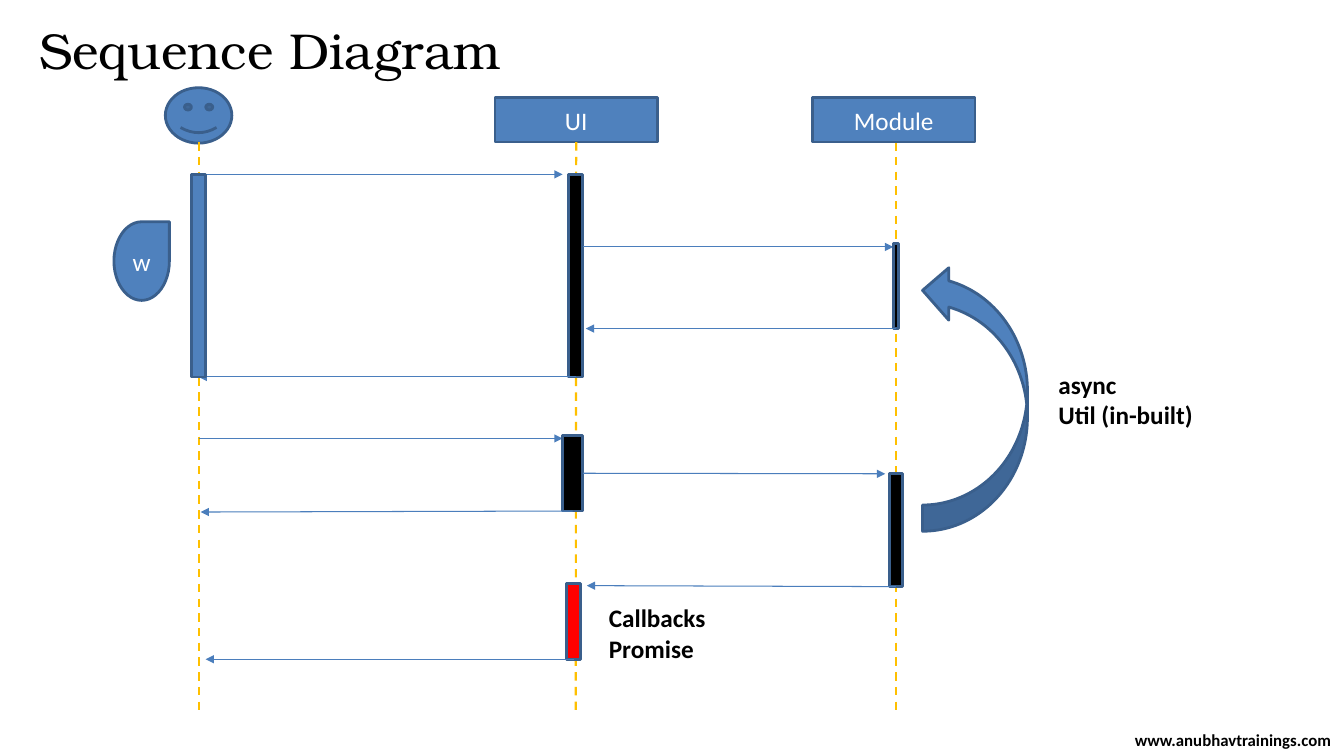
from dataclasses import dataclass

from lxml.etree import SubElement
from pptx import Presentation
from pptx.dml.color import RGBColor
from pptx.enum.dml import MSO_LINE
from pptx.enum.shapes import MSO_CONNECTOR, MSO_SHAPE
from pptx.enum.text import MSO_ANCHOR, MSO_AUTO_SIZE, PP_ALIGN
from pptx.oxml.ns import qn
from pptx.util import Inches, Pt


@dataclass(frozen=True)
class Theme:
    blue: str = "4F81BD"
    edge: str = "3A5F8C"
    arrow: str = "4B7EBC"
    gold: str = "FFC000"
    black: str = "000000"
    white: str = "FFFFFF"
    red: str = "FF0000"
    serif: str = "TeX Gyre Bonum"
    sans: str = "Calibri"
    title: int = 36
    body: int = 18
    small: int = 12


class Diagram:
    def __init__(self, slide, theme):
        self.slide = slide
        self.theme = theme

    def style(self, frame, text, size, color, face=None, bold=False, align=None):
        frame.text = text
        for para in frame.paragraphs:
            para.alignment = align
            for run in para.runs:
                font = run.font
                font.name = face or self.theme.sans
                font.size = Pt(size)
                font.bold = bold
                font.color.rgb = RGBColor.from_string(color)

    def shape(self, kind, x, y, w, h, fill=None, text=""):
        theme = self.theme
        item = self.slide.shapes.add_shape(
            kind, Inches(x), Inches(y), Inches(w), Inches(h))
        item.shadow.inherit = False
        item.fill.solid()
        item.fill.fore_color.rgb = RGBColor.from_string(fill or theme.blue)
        item.line.color.rgb = RGBColor.from_string(theme.edge)
        item.line.width = Pt(2)
        if text:
            item.text_frame.vertical_anchor = MSO_ANCHOR.MIDDLE
            self.style(item.text_frame, text, theme.body, theme.white,
                       align=PP_ALIGN.CENTER)
        return item

    def bar(self, x, y, w, h, fill=None):
        return self.shape(MSO_SHAPE.RECTANGLE, x, y, w, h,
                          fill or self.theme.black)

    def label(self, x, y, w, h, text, size, **look):
        box = self.slide.shapes.add_textbox(
            Inches(x), Inches(y), Inches(w), Inches(h))
        box.text_frame.word_wrap = True
        self.style(box.text_frame, text, size, self.theme.black, **look)
        return box.text_frame

    def note(self, x, y, w, text):
        frame = self.label(x, y, w, 0.71, text, self.theme.body, bold=True)
        frame.auto_size = MSO_AUTO_SIZE.SHAPE_TO_FIT_TEXT

    def line(self, x1, y1, x2, y2, color, width):
        link = self.slide.shapes.add_connector(
            MSO_CONNECTOR.STRAIGHT, Inches(x1), Inches(y1), Inches(x2), Inches(y2))
        link.line.color.rgb = RGBColor.from_string(color)
        link.line.width = Pt(width)
        SubElement(link._element.spPr, qn("a:effectLst"))
        return link

    def life(self, x):
        link = self.line(x, 1.41, x, 7.08, self.theme.gold, 1.5)
        link.line.dash_style = MSO_LINE.DASH
        return link

    def arrow(self, x1, x2, y, end=None):
        link = self.line(x1, y, x2, end or y, self.theme.arrow, 0.75)
        props = link._element.spPr.find(qn("a:ln"))
        SubElement(props, qn("a:tailEnd"), type="triangle")
        return link


def main():
    deck = Presentation()
    deck.slide_width, deck.slide_height = Inches(13.33), Inches(7.5)
    theme = Theme()
    art = Diagram(deck.slides.add_slide(deck.slide_layouts[6]), theme)
    user, page, module = 1.97, 5.71, 8.89
    top, right, bottom = 0, 3, 2

    # Title and footer
    art.life(module)
    title = art.label(0.29, 0.21, 12.21, 0.65, "Sequence Diagram",
                      theme.title, face=theme.serif)
    title.paragraphs[0].line_spacing = 0.9
    foot = art.label(11.13, 7.26, 2.2, 0.16, "www.anubhavtrainings.com",
                     theme.small, bold=True, align=PP_ALIGN.CENTER)
    foot.vertical_anchor = MSO_ANCHOR.MIDDLE

    # Actors and lifelines
    head = art.shape(MSO_SHAPE.RECTANGLE, 4.91, 0.97, 1.61, 0.44, text="UI")
    art.shape(MSO_SHAPE.SMILEY_FACE, 1.64, 0.87, 0.66, 0.55)
    art.shape(MSO_SHAPE.RECTANGLE, 8.06, 0.97, 1.61, 0.44, text="Module")
    art.life(user)
    art.life(page).begin_connect(head, bottom)

    # Blocking call
    ask = art.arrow(user, 5.58, 1.73)
    busy = art.bar(5.64, 1.73, 0.14, 2.01)
    art.arrow(5.78, 8.86, 2.45)
    work = art.bar(8.86, 2.42, 0.05, 0.84)
    art.arrow(module, 5.81, 3.26).begin_connect(work, bottom)
    reply = art.arrow(page, user, 3.73)
    wait = art.bar(1.9, 1.73, 0.14, 2.01, theme.blue)
    ask.begin_connect(wait, top)
    reply.begin_connect(busy, bottom)
    reply.end_connect(wait, bottom)
    art.shape(MSO_SHAPE.TEAR, 1.13, 2.2, 0.55, 0.78, text="w")

    # Call that returns at once
    art.arrow(user, 5.58, 4.35)
    quick = art.bar(5.58, 4.32, 0.2, 0.75)
    art.arrow(5.68, 1.99, 5.07, 5.08).begin_connect(quick, bottom)
    art.arrow(5.78, 8.78, 4.7).begin_connect(quick, right)
    task = art.bar(8.82, 4.7, 0.13, 1.12)

    # Later result
    art.arrow(8.88, 5.82, 5.81).begin_connect(task, bottom)
    done = art.bar(5.62, 5.79, 0.14, 0.75, theme.red)
    art.arrow(5.69, 2.04, 6.54).begin_connect(done, bottom)
    art.note(5.94, 5.93, 2.62, "Callbacks\nPromise")

    # Async loop
    loop = art.shape(MSO_SHAPE.CURVED_RIGHT_ARROW, 9.15, 2.62, 1.04, 2.65)
    loop.rotation = 180
    art.note(10.4, 3.61, 1.8, "async\nUtil (in-built)")

    deck.save("out.pptx")


if __name__ == "__main__":
    main()
